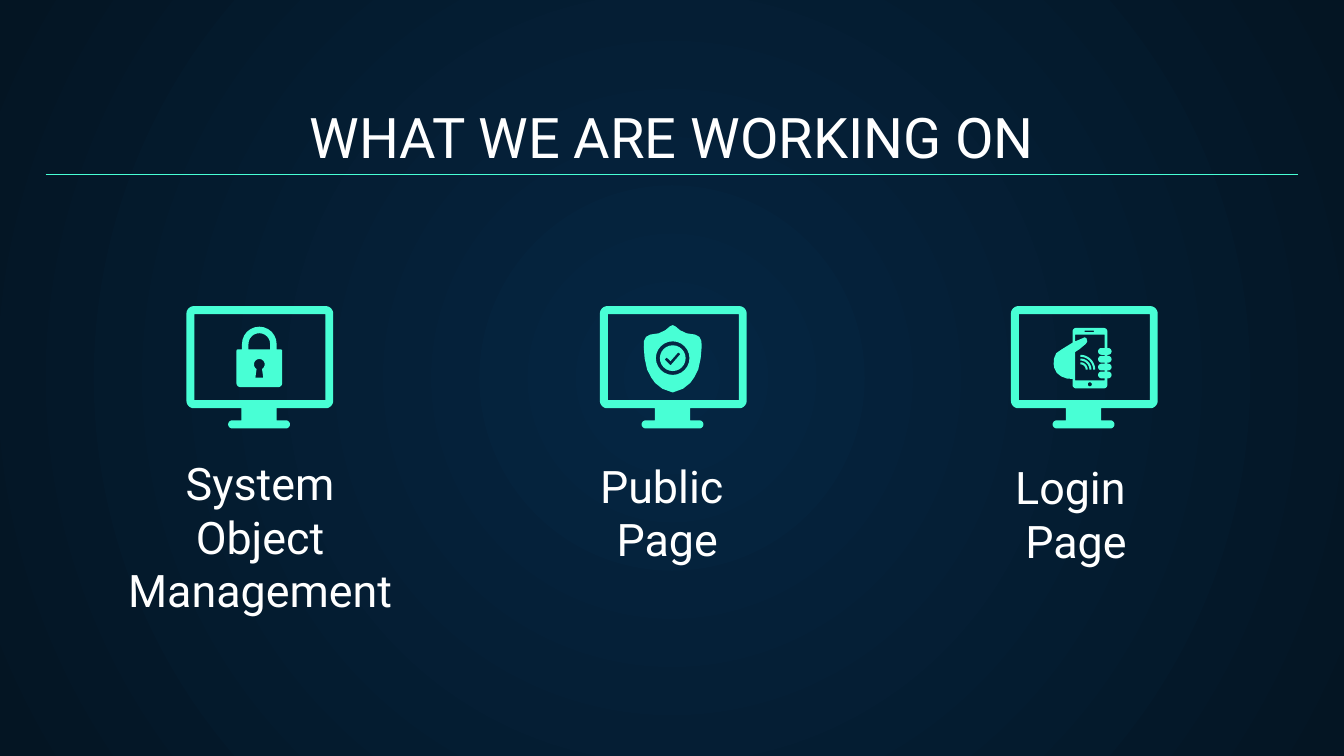
from math import cos, radians, sin

from lxml import etree
from pptx import Presentation
from pptx import util as u
from pptx.dml.color import RGBColor
from pptx.enum import shapes, text
from pptx.oxml.ns import qn

HUES = {"glow": "052643", "edge": "041523", "mint": "48FFD5", "white": "FFFFFF"}
UNIT = 100  # outline steps per point


def arc(x, y, r, start, end):
    """Points on a circle, in degrees clockwise from the right."""
    steps = 12
    turns = [radians(start + (end - start) * i / steps) for i in range(steps + 1)]
    return [(x + r * cos(t), y + r * sin(t)) for t in turns]


def ring(x, y, r):
    return arc(x, y, r, 0, 180) + arc(x, y, r, 180, 360)


def box(x, y, w, h, r=0):
    if not r:
        return [(x, y), (x + w, y), (x + w, y + h), (x, y + h)]
    left, right, top, low = x + r, x + w - r, y + r, y + h - r
    return (arc(left, top, r, 180, 270) + arc(right, top, r, 270, 360)
            + arc(right, low, r, 0, 90) + arc(left, low, r, 90, 180))


class Deck:
    """Style and current slide; all lengths are in points."""

    def __init__(self):
        self.file = Presentation()
        self.file.slide_width, self.file.slide_height = u.Pt(720), u.Pt(405)
        self.slide = self.file.slides.add_slide(self.file.slide_layouts[6])
        self.font = "Roboto"

    def hue(self, name):
        return RGBColor.from_string(HUES[name])

    def back(self):
        """Radial gradient from the centre of the slide."""
        fill = self.slide.background.fill
        fill.gradient()
        for stop, name in zip(fill.gradient_stops, ("glow", "edge")):
            stop.color.rgb = self.hue(name)
        grad = next(self.slide.element.iter(qn("a:gradFill")))
        grad.remove(grad.find(qn("a:lin")))
        way = etree.SubElement(grad, qn("a:path"), path="circle")
        sides = dict.fromkeys("ltrb", "50000")
        etree.SubElement(way, qn("a:fillToRect"), sides)

    def label(self, x, y, w, h, lines, size):
        frame = self.slide.shapes.add_textbox(*map(u.Pt, (x, y, w, h))).text_frame
        frame.word_wrap = True
        frame.auto_size = text.MSO_AUTO_SIZE.NONE
        frame.vertical_anchor = text.MSO_ANCHOR.BOTTOM
        frame.margin_left = frame.margin_right = u.Pt(7.2)
        frame.margin_top = frame.margin_bottom = u.Pt(7.2)
        frame.text = "\n".join(lines)
        for para in frame.paragraphs:
            para.alignment = text.PP_ALIGN.CENTER
            para.font.name, para.font.size = self.font, u.Pt(size)
            para.font.color.rgb = self.hue("white")

    def rule(self, x, y, end):
        line = self.slide.shapes.add_connector(
            shapes.MSO_CONNECTOR.STRAIGHT, *map(u.Pt, (x, y, end, y)))
        line.line.color.rgb = self.hue("mint")
        line.line.width = u.Pt(0.75)
        etree.SubElement(line.element.spPr, qn("a:effectLst"))

    def glyph(self, x, y, *loops):
        """One filled shape; loops inside another loop are holes."""
        pen = None
        for loop in loops:
            dots = [((x + a) * UNIT, (y + b) * UNIT) for a, b in loop]
            if pen is None:
                pen = self.slide.shapes.build_freeform(*dots[0], scale=u.Pt(1) / UNIT)
            else:
                pen.move_to(*dots[0])
            pen.add_line_segments(dots[1:], close=True)
        shape = pen.convert_to_shape()
        shape.shadow.inherit = False
        shape.fill.solid()
        shape.fill.fore_color.rgb = self.hue("mint")
        shape.line.fill.background()

    def screen(self, x, y):
        rim = (arc(4, 4, 4, 180, 270) + arc(74.6, 4, 4, 270, 360)
               + arc(74.6, 50.7, 4, 0, 90) + [(48.3, 54.7), (48.3, 61.2)]
               + arc(53.3, 63.35, 2.15, -90, 90) + arc(24.5, 63.35, 2.15, 90, 270)
               + [(29.5, 61.2), (29.5, 54.7)] + arc(4, 50.7, 4, 90, 180))
        self.glyph(x, y, rim, box(4.2, 4.3, 70.2, 46))

    def lock(self, x, y):
        mid = 39.05
        body = (arc(mid, 20.3, 9.3, 180, 360) + [(48.35, 23.2)]
                + arc(50.5, 24, 0.8, 270, 360) + arc(49.1, 41.2, 2.2, 0, 90)
                + arc(29, 41.2, 2.2, 90, 180) + arc(27.6, 24, 0.8, 180, 270)
                + [(29.75, 23.2)])
        bow = arc(mid, 20.3, 5.8, 180, 360) + [(mid + 5.8, 23.2), (mid - 5.8, 23.2)]
        key = arc(mid, 31.2, 2.9, 120, 420) + [(mid + 2.1, 38.3), (mid - 2.1, 38.3)]
        self.glyph(x, y, body, bow, key)

    def shield(self, x, y):
        mid, high = 39, 27.9
        half = [(0, 10.2), (1.5, 10.9), (4, 13), (7.5, 14.6), (12, 15.3),
                (14.3, 16.5), (15.4, 18.8), (15.5, 22), (15, 28), (13.7, 34),
                (11.5, 38.3), (9.4, 41.2), (5.5, 44.3), (0, 46.3)]
        edge = ([(mid + a, b) for a, b in half]
                + [(mid - a, b) for a, b in half[-2:0:-1]])
        tick = [(-4.4, 28.6), (-3.3, 27.5), (-1.2, 29.5),
                (2.9, 24.8), (4.1, 25.7), (-1.2, 31.8)]
        self.glyph(x, y, ring(mid, high, 6.9), [(mid + a, b) for a, b in tick])
        self.glyph(x, y, edge, ring(mid, high, 9))

    def phone(self, x, y):
        """A phone with a signal on it, held in a hand."""
        palm = [(33, 39), (30, 38.8), (27, 37.7), (24.6, 35.8), (23.2, 33),
                (22.9, 31), (23.1, 28), (24.3, 25.2), (27.2, 23.2), (33, 19.6)]
        case = (arc(35, 13.7, 2, 180, 270) + arc(49.7, 13.7, 2, 270, 360)
                + arc(49.7, 42.1, 2, 0, 90) + arc(35, 42.1, 2, 90, 180) + palm)
        thumb = [(34.4, 24.6), (36.6, 23.2), (40.2, 20.2), (40.9, 18.9),
                 (40.5, 17.3), (39.5, 16.7), (38, 17.4), (34.4, 18.9)]
        glass = [(34.4, 15.3), (50.2, 15.3), (50.2, 39.8), (34.4, 39.8)] + thumb
        self.glyph(x, y, case, glass, box(39.5, 13.1, 5, 0.8), ring(42.3, 41.9, 1.1))
        self.glyph(x, y, *[box(46.7, 22.5 + 4.2 * i, 7.2, 3.6, 1.8) for i in range(4)])
        self.glyph(x, y, *[arc(37.2, 34, r, -90, 0) + arc(37.2, 34, r - 1.1, 0, -90)
                           for r in (7.9, 5.9, 3.9)])


def main():
    deck = Deck()
    deck.back()
    deck.label(24.5, 50.4, 671, 47.5, ["WHAT WE ARE WORKING ON"], 30)
    deck.rule(24.5, 93.6, 695.5)
    items = [
        (99.9, deck.lock, (51.1, 290.2, 176.4, 47.5), ["System", "Object", "Management"]),
        (321.4, deck.shield, (275.8, 295.2, 163.4, 15.1), ["Public ", "Page"]),
        (541.6, deck.phone, (488.2, 295.9, 176.4, 15.1), ["Login ", "Page"]),
    ]
    for x, icon, place, lines in items:
        deck.screen(x, 164)
        icon(x, 164)
        deck.label(*place, lines, 24)
    deck.file.save("out.pptx")


if __name__ == "__main__":
    main()
